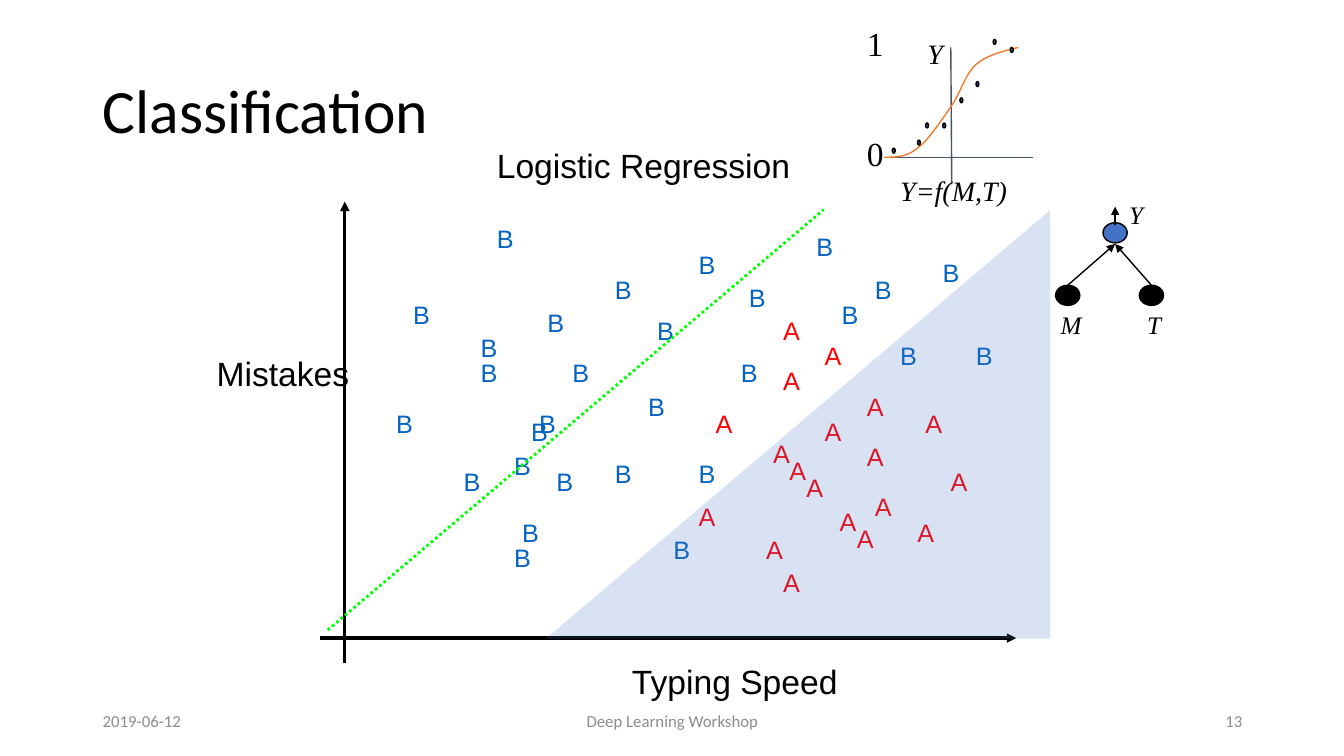
from dataclasses import dataclass

from lxml.etree import SubElement
from pptx import Presentation
from pptx.dml.color import RGBColor
from pptx.enum.dml import MSO_LINE
from pptx.enum.shapes import MSO_CONNECTOR, MSO_SHAPE
from pptx.enum.text import MSO_ANCHOR, MSO_AUTO_SIZE, PP_ALIGN
from pptx.oxml.ns import qn
from pptx.util import Emu, Pt

# One px is a hundredth of an inch
EMU_PER_PX = 9144

BLACK = RGBColor(0, 0, 0)
RED = RGBColor(0xFF, 0, 0)
BLUE = RGBColor(0x05, 0x63, 0xC1)
GREEN = RGBColor(0, 0xFF, 0)
ACCENT = RGBColor(0x44, 0x72, 0xC4)
SLATE = RGBColor(0x44, 0x54, 0x6A)
ORANGE = RGBColor(0xED, 0x7D, 0x31)
GREY = RGBColor(0x8C, 0x8C, 0x8C)

SANS, SERIF, THEME = "Arial", "Times New Roman", "Calibri"


@dataclass
class Label:
    text: str
    left: int
    top: int
    width: int
    height: int
    size: int = 24
    font: str = SANS
    color: RGBColor = BLACK
    italic: bool = False
    wrap: bool = False
    align: PP_ALIGN = PP_ALIGN.LEFT
    anchor: MSO_ANCHOR = MSO_ANCHOR.TOP


@dataclass
class Line:
    start: tuple[int, int]
    end: tuple[int, int]
    color: RGBColor = BLACK
    weight: float = 1
    arrow: bool = True
    dotted: bool = False


@dataclass
class Mark:
    kind: MSO_SHAPE
    left: int
    top: int
    width: int
    height: int
    fill: RGBColor = ACCENT


AXES = [
    Line((342, 658), (342, 200), weight=2.25),
    Line((317, 633), (1008, 633), weight=2.25),
]
BOUNDARY = Line((325, 625), (817, 208), GREEN, 2, arrow=False, dotted=True)
TITLES = [
    Label("Mistakes", 205, 345, 153, 50),
    Label("Typing Speed", 617, 651, 226, 50),
    Label("Logistic Regression", 483, 139, 314, 50),
]

# Left and top of each scattered letter
B_POINTS = [
    (533, 300), (558, 350), (500, 533), (642, 308), (858, 267), (400, 292),
    (683, 242), (958, 333), (883, 333), (683, 450), (483, 217), (658, 525),
    (600, 450), (525, 400), (633, 383), (600, 267), (467, 350), (725, 350),
    (500, 442), (733, 275), (517, 408), (542, 458), (383, 400), (467, 325),
    (508, 508), (450, 458), (800, 225), (925, 250), (825, 292),
]
A_POINTS = [
    (757, 430), (773, 447), (790, 464), (858, 483), (850, 383), (700, 400),
    (750, 525), (823, 497), (840, 514), (683, 492), (908, 400), (767, 358),
    (767, 308), (767, 558), (808, 408), (808, 333), (850, 433), (900, 508),
    (933, 458),
]

# Sigmoid plot
PLOT_AXES = [
    Line((943, 47), (944, 183), SLATE, arrow=False),
    Line((877, 156), (1025, 156), SLATE, arrow=False),
]
PLOT_LABELS = [
    Label("Y", 910, 31, 36, 43, 20, SERIF, italic=True),
    Label("Y=f(M,T)", 883, 167, 127, 43, 20, SERIF, italic=True),
    Label("0", 850, 127, 37, 50, font=SERIF),
    Label("1", 850, 18, 37, 50, font=SERIF),
]
SIGMOID = [
    (877, 156), (888, 156), (899, 156), (910, 147), (921, 139), (934, 119),
    (943, 106), (953, 92), (957, 74), (968, 64), (980, 54), (995, 51), (1010, 47),
]
SAMPLES = [
    (918, 122), (1002, 47), (885, 147), (952, 97),
    (985, 39), (968, 81), (935, 122), (910, 139),
]

# Small network
NODES = [
    Mark(MSO_SHAPE.OVAL, 1094, 221, 24, 20),
    Mark(MSO_SHAPE.OVAL, 1130, 283, 24, 20, BLACK),
    Mark(MSO_SHAPE.OVAL, 1047, 283, 24, 20, BLACK),
]
LINKS = [
    Line((1059, 283), (1106, 242)),
    Line((1142, 283), (1106, 242)),
    Line((1106, 223), (1106, 205)),
]
NODE_LABELS = [
    Label("M", 1042, 302, 41, 40, 18, SERIF, italic=True),
    Label("T", 1128, 302, 34, 40, 18, SERIF, italic=True),
    Label("Y", 1110, 193, 34, 40, 18, SERIF, italic=True),
]

FOOTER = [
    Label(text, left, 695, width, 40, 12, THEME, GREY, wrap=True,
          align=align, anchor=MSO_ANCHOR.MIDDLE)
    for text, left, width, align in [
        ("2019-06-12", 92, 300, PP_ALIGN.LEFT),
        ("Deep Learning Workshop", 442, 450, PP_ALIGN.CENTER),
        ("13", 942, 300, PP_ALIGN.RIGHT),
    ]
]


def px(length: float) -> Emu:
    return Emu(round(length * EMU_PER_PX))


def write(box, label: Label) -> None:
    frame = box.text_frame
    frame.auto_size = MSO_AUTO_SIZE.NONE
    frame.word_wrap = label.wrap
    frame.vertical_anchor = label.anchor
    para = frame.paragraphs[0]
    para.alignment = label.align
    span = para.add_run()
    span.text = label.text
    span.font.size = Pt(label.size)
    span.font.name = label.font
    span.font.italic = label.italic
    span.font.color.rgb = label.color


def add_label(page, label: Label) -> None:
    frame = map(px, (label.left, label.top, label.width, label.height))
    write(page.shapes.add_textbox(*frame), label)


def add_line(page, line: Line) -> None:
    connector = page.shapes.add_connector(
        MSO_CONNECTOR.STRAIGHT, *map(px, line.start + line.end))
    connector.line.color.rgb = line.color
    connector.line.width = Pt(line.weight)
    if line.dotted:
        connector.line.dash_style = MSO_LINE.ROUND_DOT
    properties = connector._element.spPr
    if line.arrow:
        SubElement(properties.find(qn("a:ln")), qn("a:tailEnd"), type="triangle")
    SubElement(properties, qn("a:effectLst"))


def add_mark(page, mark: Mark) -> None:
    shape = page.shapes.add_shape(
        mark.kind, *map(px, (mark.left, mark.top, mark.width, mark.height)))
    shape.shadow.inherit = False
    shape.fill.solid()
    shape.fill.fore_color.rgb = mark.fill
    shape.line.color.rgb = BLACK
    shape.line.width = Pt(1)


def add_region(page) -> None:
    region = page.shapes.add_shape(
        MSO_SHAPE.RIGHT_TRIANGLE, px(579), px(171), px(425), px(500))
    region.rotation = 270
    region.shadow.inherit = False
    region.fill.solid()
    region.fill.fore_color.rgb = ACCENT
    region.line.fill.background()
    color = region._element.spPr.find(qn("a:solidFill"))[0]
    SubElement(color, qn("a:alpha"), val="20000")


def add_sigmoid(page, steps: int = 16) -> None:
    points = []
    for first in range(0, len(SIGMOID) - 1, 3):
        controls = SIGMOID[first:first + 4]
        for step in range(1, steps + 1):
            t = step / steps
            weights = ((1 - t) ** 3, 3 * t * (1 - t) ** 2, 3 * t * t * (1 - t), t ** 3)
            points.append(tuple(
                px(sum(weight * value for weight, value in zip(weights, axis)))
                for axis in zip(*controls)))
    builder = page.shapes.build_freeform(*map(px, SIGMOID[0]))
    builder.add_line_segments(points, close=False)
    curve = builder.convert_to_shape()
    curve.shadow.inherit = False
    curve.fill.background()
    curve.line.color.rgb = ORANGE
    curve.line.width = Pt(1)


def main() -> None:
    deck = Presentation()
    deck.slide_width, deck.slide_height = px(1333), px(750)
    page = deck.slides.add_slide(deck.slide_layouts[5])

    # Title
    title = page.shapes.title
    title.left, title.top, title.width, title.height = map(px, (92, 40, 1150, 145))
    write(title, Label("Classification", 92, 40, 1150, 145, 44, THEME,
                       wrap=True, anchor=MSO_ANCHOR.MIDDLE))
    title.text_frame.paragraphs[0].line_spacing = 0.9

    # Scatter of letters
    for line in AXES:
        add_line(page, line)
    for letter, color, points in (("B", BLUE, B_POINTS), ("A", RED, A_POINTS)):
        for left, top in points:
            add_label(page, Label(letter, left, top, 37, 40, 18, color=color))
    add_line(page, BOUNDARY)
    for label in TITLES:
        add_label(page, label)
    add_region(page)

    # Sigmoid plot
    for line in PLOT_AXES:
        add_line(page, line)
    for label in PLOT_LABELS:
        add_label(page, label)
    add_sigmoid(page)
    for left, top in SAMPLES:
        add_mark(page, Mark(MSO_SHAPE.STAR_16_POINT, left, top, 3, 5))

    # Network and footer
    for node in NODES:
        add_mark(page, node)
    for link in LINKS:
        add_line(page, link)
    for label in NODE_LABELS + FOOTER:
        add_label(page, label)

    deck.save("out.pptx")


if __name__ == "__main__":
    main()
